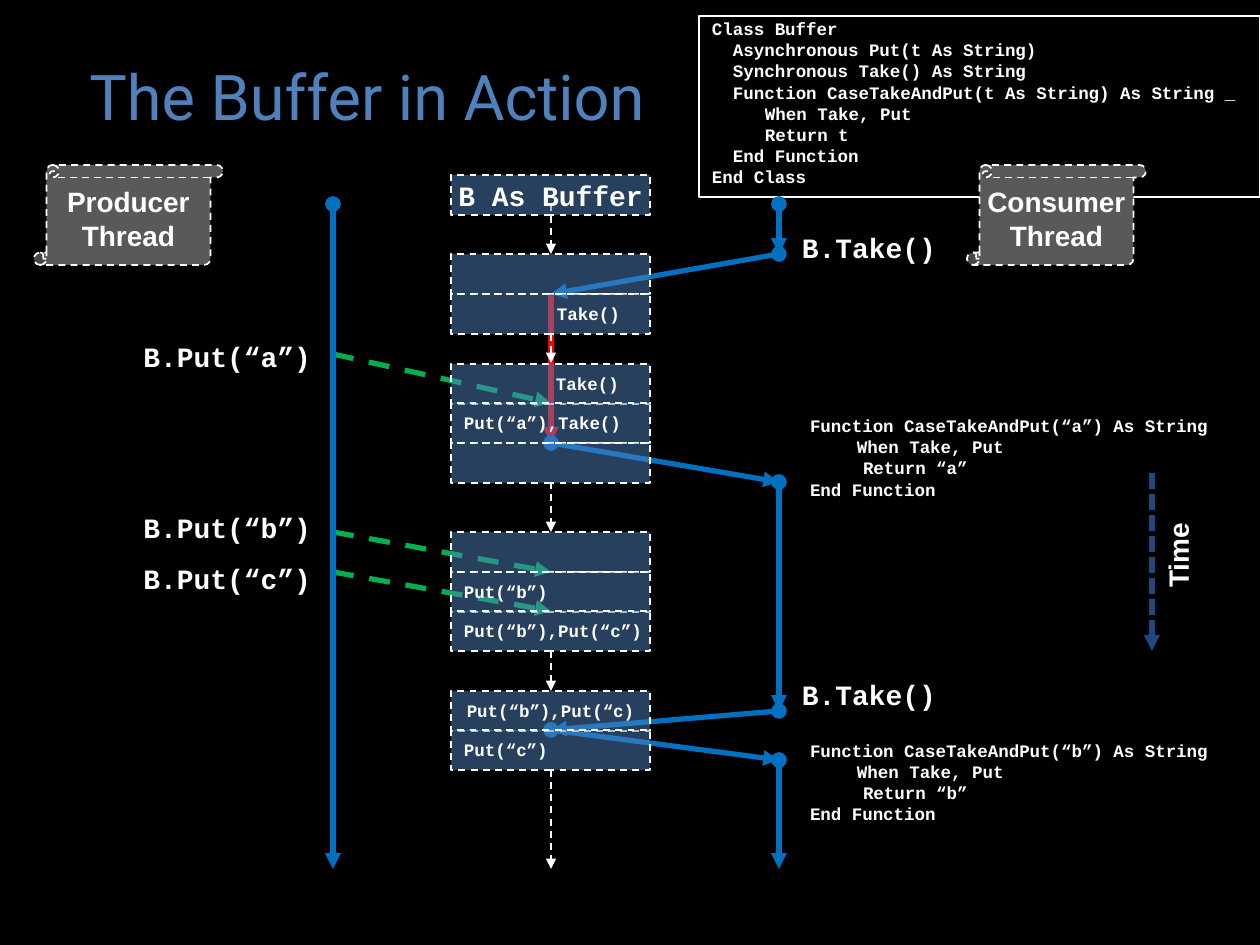
from dataclasses import dataclass
from lxml import etree
from pptx import Presentation
from pptx.dml.color import RGBColor
from pptx.enum.dml import MSO_LINE
from pptx.enum.shapes import MSO_CONNECTOR, MSO_SHAPE
from pptx.enum.text import MSO_ANCHOR, PP_ALIGN
from pptx.oxml.ns import qn
from pptx.util import Pt

RECT, SCROLL = MSO_SHAPE.RECTANGLE, MSO_SHAPE.VERTICAL_SCROLL
LEFT, MID, RIGHT = PP_ALIGN.LEFT, PP_ALIGN.CENTER, PP_ALIGN.RIGHT
TOP, CENTER = MSO_ANCHOR.TOP, MSO_ANCHOR.MIDDLE
DASH, DOTS = MSO_LINE.DASH, MSO_LINE.SQUARE_DOT
STRAIGHT = MSO_CONNECTOR.STRAIGHT
SCALE = 914400 / 126


def px(n):
    return round(n * SCALE)


@dataclass(frozen=True)
class Theme:
    back: str = "000000"
    ink: str = "FFFFFF"
    accent: str = "4F81BD"
    scroll: str = "595959"
    flow: str = "0070C0"
    put: str = "00B050"
    wait: str = "FF0000"
    time: str = "1F497D"
    mono: str = "Courier New"
    sans: str = "Arial"
    head: str = "Roboto"
    small: int = 10
    label: int = 16
    title: int = 36


class Board:
    """Draws styled elements on one slide, measured in pixels."""

    def __init__(self, slide, theme):
        self.slide, self.theme = slide, theme
        fill = slide.background.fill
        fill.solid()
        fill.fore_color.rgb = RGBColor.from_string(theme.back)

    def frame(self, shape, anchor=TOP, wrap=True, pad=13, end=13):
        frame = shape.text_frame
        frame.word_wrap, frame.vertical_anchor = wrap, anchor
        frame.margin_left, frame.margin_right = px(pad), px(end)
        frame.margin_top = frame.margin_bottom = px(6)
        return frame

    def run(self, para, text, size, font, color=None, bold=True):
        run = para.add_run()
        run.text = text
        run.font.size, run.font.name, run.font.bold = Pt(size), font, bold
        run.font.color.rgb = RGBColor.from_string(color or self.theme.ink)

    def text(self, box, text, font, size=None, align=LEFT, anchor=TOP,
             wrap=True, color=None, bold=True, turn=0):
        shape = self.slide.shapes.add_textbox(*map(px, box))
        shape.rotation = turn
        para = self.frame(shape, anchor, wrap).paragraphs[0]
        para.alignment = align
        self.run(para, text, size or self.theme.label, font, color, bold)

    def shape(self, kind, box, fill, width=1, dash=DASH, alpha=None):
        shape = self.slide.shapes.add_shape(kind, *map(px, box))
        shape.shadow.inherit = False
        shape.fill.solid()
        shape.fill.fore_color.rgb = RGBColor.from_string(fill)
        if alpha:
            color = shape.fill._xPr.find(".//" + qn("a:srgbClr"))
            etree.SubElement(color, qn("a:alpha"), val=str(alpha * 1000))
        shape.line.color.rgb = RGBColor.from_string(self.theme.ink)
        shape.line.width, shape.line.dash_style = Pt(width), dash
        return shape

    def cell(self, top, text="", pad=13, size=None):
        shape = self.shape(RECT, (451, top, 199, 40), self.theme.accent, alpha=50)
        if text:
            para = self.frame(shape, CENTER, pad=pad, end=0).paragraphs[0]
            para.alignment = LEFT if pad else MID
            self.run(para, text, size or self.theme.small, self.theme.mono)

    def scroll(self, box, *words):
        shape = self.shape(SCROLL, box, self.theme.scroll)
        para = self.frame(shape, CENTER, False).paragraphs[0]
        para.alignment = MID
        for i, word in enumerate(words):
            if i:
                para.add_line_break()
            self.run(para, word, self.theme.label, self.theme.sans)

    def code(self, shape, lines):
        frame = self.frame(shape)
        for i, (indent, line) in enumerate(lines):
            para = frame.add_paragraph() if i else frame.paragraphs[0]
            para.alignment, para.line_spacing = LEFT, 0.8
            para.space_before = Pt(2.5)
            para._p.get_or_add_pPr().set("marL", str(px(indent)))
            self.run(para, line, self.theme.small, self.theme.mono)

    def arrow(self, start, end, color, width=3, dash=None, oval=False):
        link = self.slide.shapes.add_connector(STRAIGHT, *map(px, start + end))
        link.line.color.rgb = RGBColor.from_string(color)
        link.line.width, link.line.dash_style = Pt(width), dash
        line = link.line._get_or_add_ln()
        if oval:
            etree.SubElement(line, qn("a:headEnd"), type="oval")
        etree.SubElement(line, qn("a:tailEnd"), type="triangle")
        etree.SubElement(link._element.spPr, qn("a:effectLst"))


deck = Presentation()
deck.slide_width, deck.slide_height = px(1260), px(945)
look = Theme()
board = Board(deck.slides.add_slide(deck.slide_layouts[6]), look)
MAKER, BUFFER, USER = 333, 551, 779

for start, end in ((354, 403), (532, 572), (572, 611)):
    board.arrow((MAKER, start), (BUFFER, end), look.put, dash=DASH)

board.code(board.shape(RECT, (699, 16, 561, 181), look.back, 0.75, None), (
    (0, "Class Buffer"),
    (21, "Asynchronous Put(t As String)"),
    (21, "Synchronous Take() As String"),
    (21, "Function CaseTakeAndPut(t As String) As String _"),
    (53, "When Take, Put"),
    (53, "Return t"),
    (21, "End Function"),
    (0, "End Class")))

board.arrow((BUFFER, 294), (BUFFER, 443), look.wait)
board.text((10, 16, 714, 158), "The Buffer in Action", look.head, look.title,
           MID, CENTER, color=look.accent, bold=False)
board.arrow((BUFFER, 204), (BUFFER, 254), look.ink, 1, DASH)

for start, end in (
        ((MAKER, 204), (MAKER, 869)), ((USER, 204), (USER, 254)),
        ((USER, 254), (BUFFER, 294)), ((BUFFER, 443), (USER, 482)),
        ((USER, 482), (USER, 711)), ((USER, 711), (BUFFER, 730)),
        ((USER, 760), (USER, 869)), ((BUFFER, 730), (USER, 760))):
    board.arrow(start, end, look.flow, oval=True)

for top, name in ((334, "a"), (505, "b"), (556, "c")):
    board.text((105, top, 219, 47), f"B.Put(“{name}”)", look.mono, align=RIGHT)
for top in (224, 671):
    board.text((789, top, 258, 47), "B.Take()", look.mono)
for top, name in ((413, "a"), (738, "b")):
    box = board.slide.shapes.add_textbox(*map(px, (797, top, 483, 95)))
    board.code(box, (
        (0, f"Function CaseTakeAndPut(“{name}”) As String"),
        (47, "When Take, Put"),
        (53, f"Return “{name}”"),
        (0, "End Function")))

board.scroll((34, 165, 189, 100), "Producer", "Thread")
board.scroll((967, 165, 179, 100), "Consumer", "Thread")

for top, *rest in (
        (254,), (294, "Take()", 106),
        (364, "Take()", 105), (403, "Put(“a”),Take()"), (443,),
        (532,), (572, "Put(“b”)"), (611, "Put(“b”),Put(“c”)"),
        (691, "Put(“b”),Put(“c)", 0), (730, "Put(“c”)"),
        (175, "B As Buffer", 0, look.label)):
    board.cell(top, *rest)

for start, end in ((334, 363), (482, 532), (651, 691), (770, 869)):
    board.arrow((BUFFER, start), (BUFFER, end), look.ink, 1, DASH)

board.text((1133, 532, 91, 47), "Time", look.sans, align=MID, wrap=False, turn=270)
board.arrow((1152, 473), (1152, 651), look.time, dash=DOTS)

deck.save("out.pptx")
